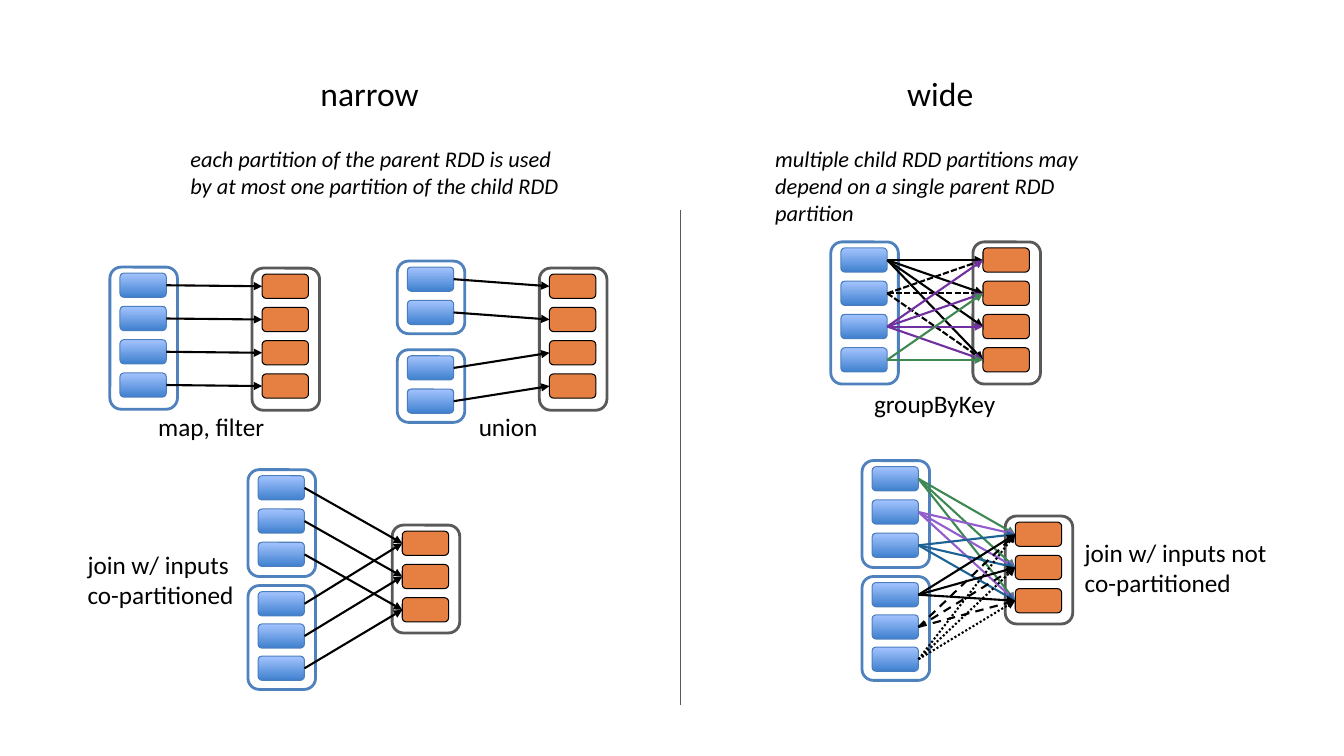
from lxml import etree
from pptx import Presentation
from pptx.dml.color import RGBColor
from pptx.enum.dml import MSO_LINE
from pptx.enum.shapes import MSO_CONNECTOR, MSO_SHAPE
from pptx.enum.text import MSO_AUTO_SIZE
from pptx.oxml.ns import qn
from pptx.util import Pt

PX = 9144  # 100 px to the inch
SLIDE_WIDTH, SLIDE_HEIGHT = 1333, 750
ROUNDED = MSO_SHAPE.ROUNDED_RECTANGLE
STRAIGHT = MSO_CONNECTOR.STRAIGHT
SOLID, DASH = MSO_LINE.SOLID, MSO_LINE.DASH
SHORT_DASH, DOT = MSO_LINE.SQUARE_DOT, MSO_LINE.ROUND_DOT
LEFT_SIDE, RIGHT_SIDE = 1, 3
FONT = "Calibri"
BLACK, WHITE, GRAY = "000000", "FFFFFF", "595959"
GREEN, PURPLE, VIOLET, TEAL = "3E8853", "7030A0", "915CCC", "1D6294"
ORANGE, PARENT_FRAME, PARENT_EDGE = "E68042", "4F81BD", "4B7EBC"
PARENT_GRADIENT = ("3F80CE", "A4C4FF")

# Frame width, partition size and partition offset inside the frame
FRAME_WIDTH, PARTITION_WIDTH, PARTITION_HEIGHT = 67, 46, 24
INSET_X, INSET_Y = 10, 6

# left, top, width, height, lines, size, italic
TEXTS = [
    (308, 67, 123, 50, "narrow", 24, False),
    (890, 67, 87, 50, "wide", 24, False),
    (179, 139, 400, 64, "each partition of the parent RDD is used "
     "by at most one partition of the child RDD", 16, True),
    (759, 139, 375, 64, "multiple child RDD partitions may "
     "depend on a single parent RDD partition", 16, True),
    (147, 403, 141, 40, "map, filter", 18, False),
    (465, 403, 141, 40, "union", 18, False),
    (857, 380, 152, 40, "groupByKey", 18, False),
    (77, 540, 313, 71, "join w/ inputs\nco-partitioned", 18, False),
    (1066, 528, 313, 71, "join w/ inputs not\nco-partitioned", 18, False),
]

# name: left, top, height, partition count, pitch, is parent
DATASETS = {
    "map child": (250, 266, 141, 4, 33, False),
    "map parent": (109, 265, 141, 4, 33, True),
    "group child": (965, 240, 141, 4, 33, False),
    "group parent": (824, 240, 141, 4, 33, True),
    "union child": (535, 266, 141, 4, 33, False),
    "union first": (394, 259, 72, 2, 33, True),
    "union second": (394, 347, 72, 2, 33, True),
    "join child": (389, 521, 107, 3, 33, False),
    "join first": (246, 466, 106, 3, 33, True),
    "join second": (246, 581, 103, 3, 32, True),
    "wide join child": (997, 512, 107, 3, 33, False),
    "wide join first": (855, 457, 106, 3, 33, True),
    "wide join second": (855, 572, 103, 3, 32, True),
}

# parent, child, first child partition used
NARROW_LINKS = [
    ("map parent", "map child", 0),
    ("union first", "union child", 0),
    ("union second", "union child", 2),
    ("join first", "join child", 0),
    ("join second", "join child", 0),
]

# parent, parent partition, child, child partitions, colour, dash
WIDE_LINKS = [
    ("group parent", 0, "group child", (0, 1, 2, 3), BLACK, SOLID),
    ("group parent", 1, "group child", (0, 1, 3), BLACK, SHORT_DASH),
    ("group parent", 2, "group child", (0, 1, 2, 3), PURPLE, SOLID),
    ("group parent", 3, "group child", (1, 3), GREEN, SOLID),
    ("wide join first", 0, "wide join child", (0, 1, 2), GREEN, SOLID),
    ("wide join first", 1, "wide join child", (0, 1, 2), VIOLET, SOLID),
    ("wide join first", 2, "wide join child", (0, 1, 2), TEAL, SOLID),
    ("wide join second", 0, "wide join child", (0, 1, 2), BLACK, SOLID),
    ("wide join second", 1, "wide join child", (0, 1, 2), BLACK, DASH),
    ("wide join second", 2, "wide join child", (0, 1, 2), BLACK, DOT),
]


def color(hex_value):
    return RGBColor.from_string(hex_value)


def scaled(*lengths):
    return [length * PX for length in lengths]


def set_line(line, hex_value, width):
    line.fill.solid()
    line.fill.fore_color.rgb = color(hex_value)
    line.width = Pt(width)


def add_box(slide, bounds, fill, edge, edge_width):
    shape = slide.shapes.add_shape(ROUNDED, *scaled(*bounds))
    shape.shadow.inherit = False
    if isinstance(fill, tuple):
        shape.fill.gradient()
        shape.fill.gradient_angle = 90
        for stop, hex_value in zip(shape.fill.gradient_stops, fill):
            stop.color.rgb = color(hex_value)
    else:
        shape.fill.solid()
        shape.fill.fore_color.rgb = color(fill)
    set_line(shape.line, edge, edge_width)
    return shape


def add_dataset(slide, left, top, height, count, pitch, is_parent):
    frame_edge = PARENT_FRAME if is_parent else GRAY
    add_box(slide, (left, top, FRAME_WIDTH, height), WHITE, frame_edge, 2)
    fill, edge = (PARENT_GRADIENT, PARENT_EDGE) if is_parent else (ORANGE, BLACK)
    return [
        add_box(slide, (left + INSET_X, top + INSET_Y + row * pitch,
                        PARTITION_WIDTH, PARTITION_HEIGHT), fill, edge, 0.75)
        for row in range(count)
    ]


def add_line(slide, ends, hex_value, width):
    connector = slide.shapes.add_connector(STRAIGHT, *scaled(*ends))
    set_line(connector.line, hex_value, width)
    etree.SubElement(connector._element.spPr, qn("a:effectLst"))
    return connector


def add_arrow(slide, parent, child, hex_value=BLACK, dash=SOLID):
    connector = add_line(slide, (0, 0, 0, 0), hex_value, 1.5)
    connector.begin_connect(parent, RIGHT_SIDE)
    connector.end_connect(child, LEFT_SIDE)
    connector.line.dash_style = dash
    outline = connector._element.spPr.find(qn("a:ln"))
    etree.SubElement(outline, qn("a:tailEnd"), type="triangle")


def add_text(slide, left, top, width, height, text, size, italic):
    text_box = slide.shapes.add_textbox(*scaled(left, top, width, height))
    text_frame = text_box.text_frame
    text_frame.word_wrap = True
    text_frame.auto_size = MSO_AUTO_SIZE.SHAPE_TO_FIT_TEXT
    text_frame.text = text
    for paragraph in text_frame.paragraphs:
        for run in paragraph.runs:
            run.font.name = FONT
            run.font.size = Pt(size)
            run.font.italic = italic
            run.font.color.rgb = color(BLACK)


def main():
    presentation = Presentation()
    presentation.slide_width, presentation.slide_height = scaled(
        SLIDE_WIDTH, SLIDE_HEIGHT)
    slide = presentation.slides.add_slide(presentation.slide_layouts[6])

    # Datasets with their partitions
    partitions = {name: add_dataset(slide, *layout)
                  for name, layout in DATASETS.items()}

    # Narrow dependencies: one child partition for each parent partition
    for parent, child, first in NARROW_LINKS:
        for source, target in zip(partitions[parent], partitions[child][first:]):
            add_arrow(slide, source, target)

    # Wide dependencies: several child partitions for each parent partition
    for parent, row, child, targets, hex_value, dash in WIDE_LINKS:
        for target in targets:
            add_arrow(slide, partitions[parent][row], partitions[child][target],
                      hex_value, dash)

    # Divider and labels
    add_line(slide, (675, 208, 675, 699), GRAY, 1.25)
    for text in TEXTS:
        add_text(slide, *text)

    presentation.save("out.pptx")


if __name__ == "__main__":
    main()
